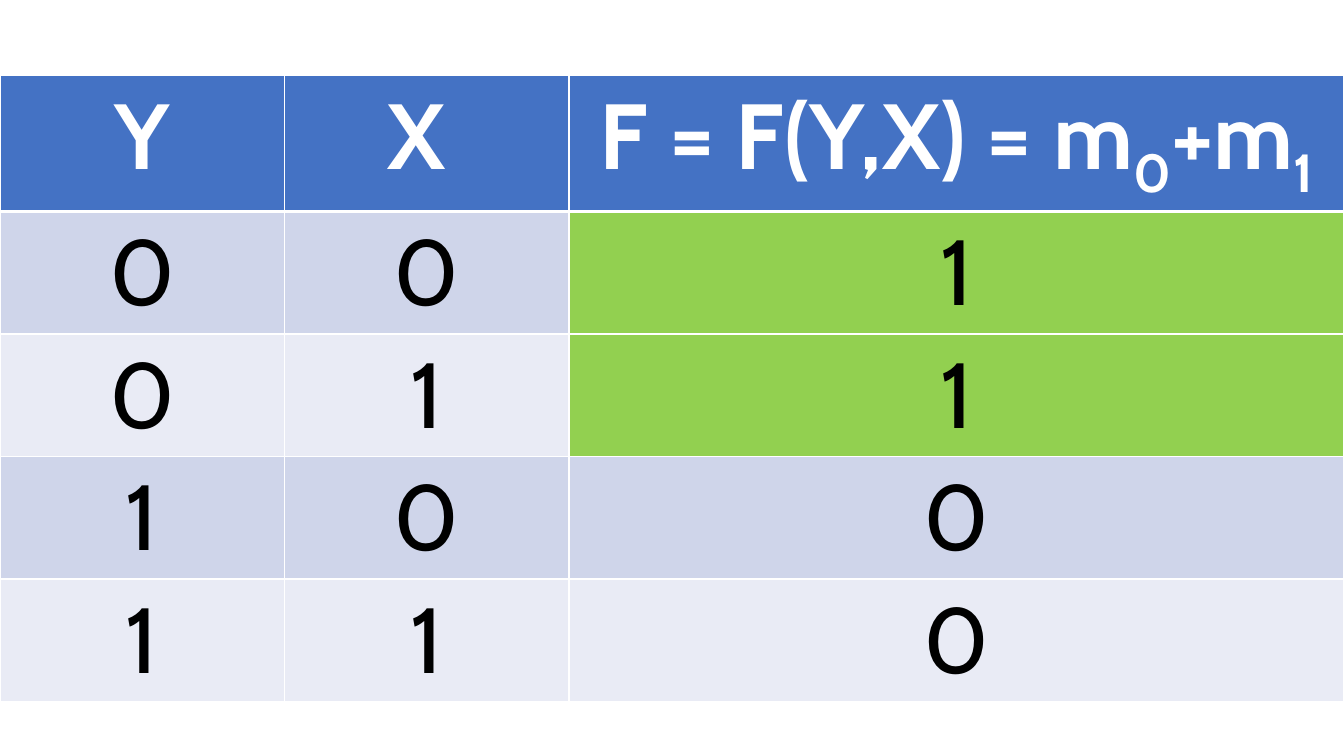
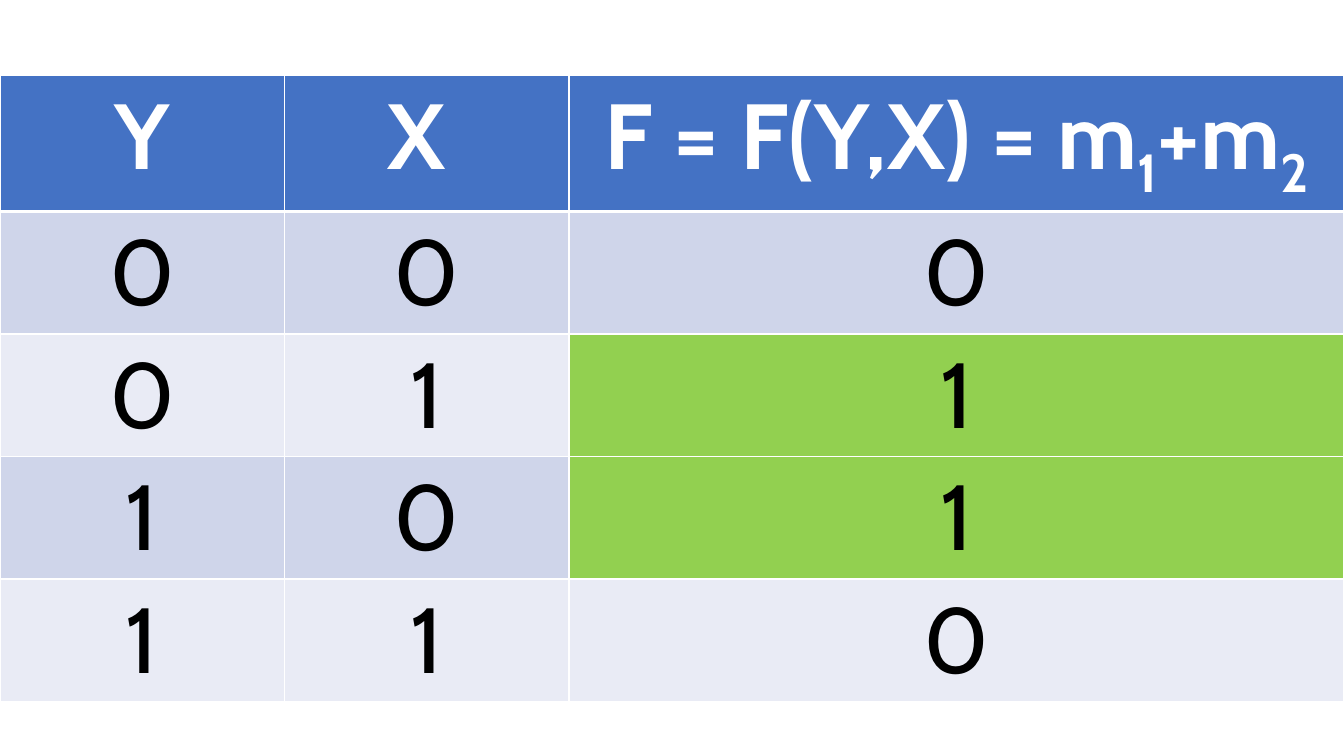
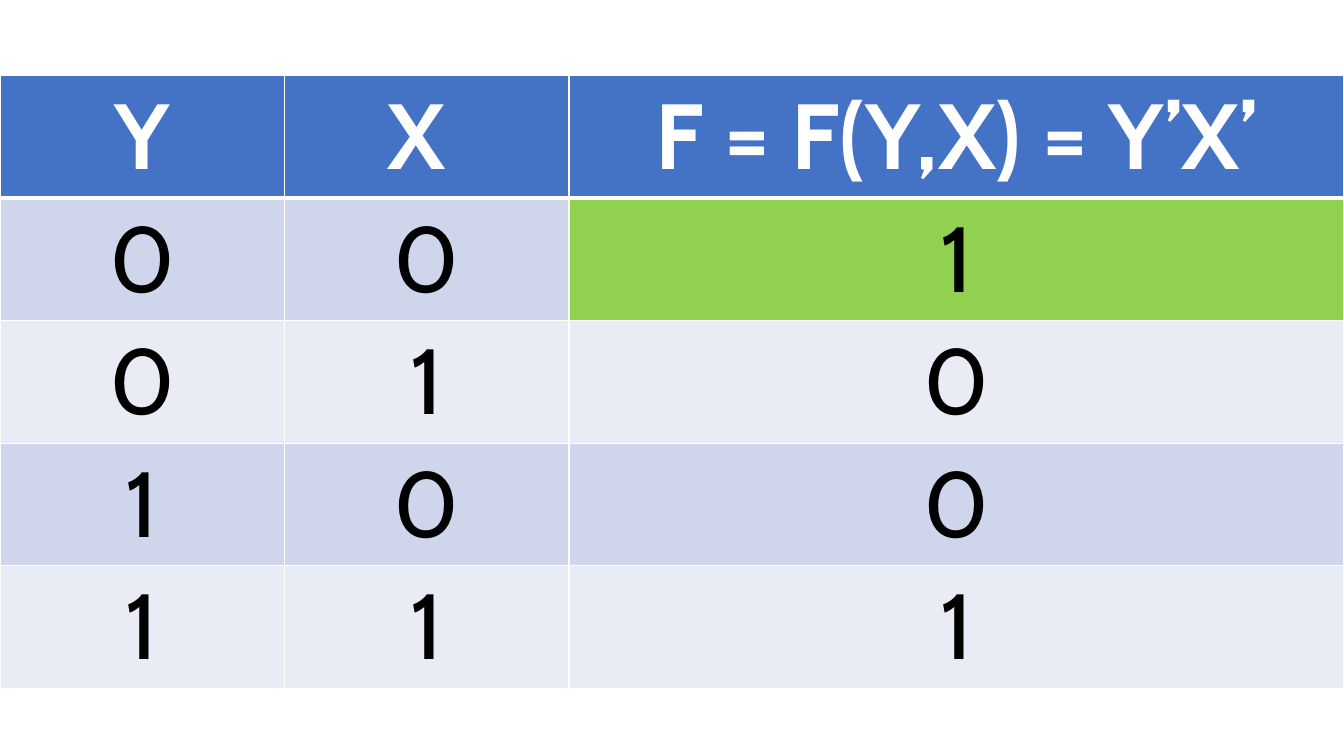
from itertools import product

from lxml.etree import SubElement
from pptx import Presentation
from pptx.dml.color import RGBColor
from pptx.enum.text import PP_ALIGN
from pptx.oxml.ns import qn
from pptx.util import Emu, Pt

EMU_PER_PX = 9525
PAGE_WIDTH, PAGE_HEIGHT = 1280, 720
TABLE_TOP, TABLE_HEIGHT = 72, 576
COLUMN_WIDTHS = (271, 271, 738)

WHITE, BLACK = "FFFFFF", "000000"
HEADER_FILL = "4472C4"
BAND_FILLS = ("CFD5EA", "E9EBF5")
HIGHLIGHT = "92D050"
HEADER_FONT = {"name": "Cabin", "size": Pt(66), "bold": True}
BODY_FONT = HEADER_FONT | {"bold": False}
THIN, THICK = 1, 3

# Header parts alternate between normal and subscript text.
# The last item names the minterms whose rows are highlighted.
TRUTH_TABLES = (
    (("F = F(Y,X) = m", "0", "+m", "1"), "1100", {0, 1}),
    (("F = F(Y,X) = m", "1", "+m", "2"), "0110", {1, 2}),
    (("F = F(Y,X) = Y’X’",), "1001", {0}),
)


def px(length):
    return Emu(length * EMU_PER_PX)


def color(value):
    return RGBColor.from_string(value)


class Deck:
    """Holds the presentation, its style and the current slide."""

    def __init__(self):
        self.deck = Presentation()
        self.deck.slide_width = px(PAGE_WIDTH)
        self.deck.slide_height = px(PAGE_HEIGHT)
        self.page = None

    def add_page(self):
        self.page = self.deck.slides.add_slide(self.deck.slide_layouts[6])

    def add_borders(self, cell, widths):
        """Draw white cell edges; widths maps L, R, T and B to points."""
        properties = cell._tc.get_or_add_tcPr()
        for side, width in widths.items():
            line = SubElement(properties, qn(f"a:ln{side}"), w=str(Pt(width)))
            fill = SubElement(line, qn("a:solidFill"))
            SubElement(fill, qn("a:srgbClr"), val=WHITE)

    def fill_cell(self, cell, parts, fill, text_color, font):
        cell.fill.solid()
        cell.fill.fore_color.rgb = color(fill)
        para = cell.text_frame.paragraphs[0]
        para.alignment = PP_ALIGN.CENTER
        for index, part in enumerate(parts):
            span = para.add_run()
            span.text = part
            for name, value in font.items():
                setattr(span.font, name, value)
            span.font.color.rgb = color(text_color)
            if index % 2:
                span._r.get_or_add_rPr().set("baseline", "-25000")

    def add_truth_table(self, formula, outputs, highlighted):
        rows = [(("Y",), ("X ",), formula)]
        rows += [(*inputs, output) for inputs, output in zip(product("01", repeat=2), outputs)]
        frame = self.page.shapes.add_table(
            len(rows), len(COLUMN_WIDTHS), px(0), px(TABLE_TOP), px(PAGE_WIDTH), px(TABLE_HEIGHT)
        )
        table = frame.table
        table.first_row = table.horz_banding = False
        for column, width in zip(table.columns, COLUMN_WIDTHS):
            column.width = px(width)
        for row_index, row in enumerate(rows):
            is_header = row_index == 0
            edges = {
                "L": THIN,
                "R": THIN,
                "T": THICK if row_index == 1 else THIN,
                "B": THICK if is_header else THIN,
            }
            for column_index, parts in enumerate(row):
                cell = table.cell(row_index, column_index)
                self.add_borders(cell, edges)
                if is_header:
                    self.fill_cell(cell, parts, HEADER_FILL, WHITE, HEADER_FONT)
                    continue
                minterm = row_index - 1
                is_output = column_index == len(row) - 1
                band = BAND_FILLS[minterm % 2]
                fill = HIGHLIGHT if is_output and minterm in highlighted else band
                self.fill_cell(cell, parts, fill, BLACK, BODY_FONT)


def main():
    deck = Deck()
    for formula, outputs, highlighted in TRUTH_TABLES:
        deck.add_page()
        deck.add_truth_table(formula, outputs, highlighted)
    deck.deck.save("out.pptx")


if __name__ == "__main__":
    main()
